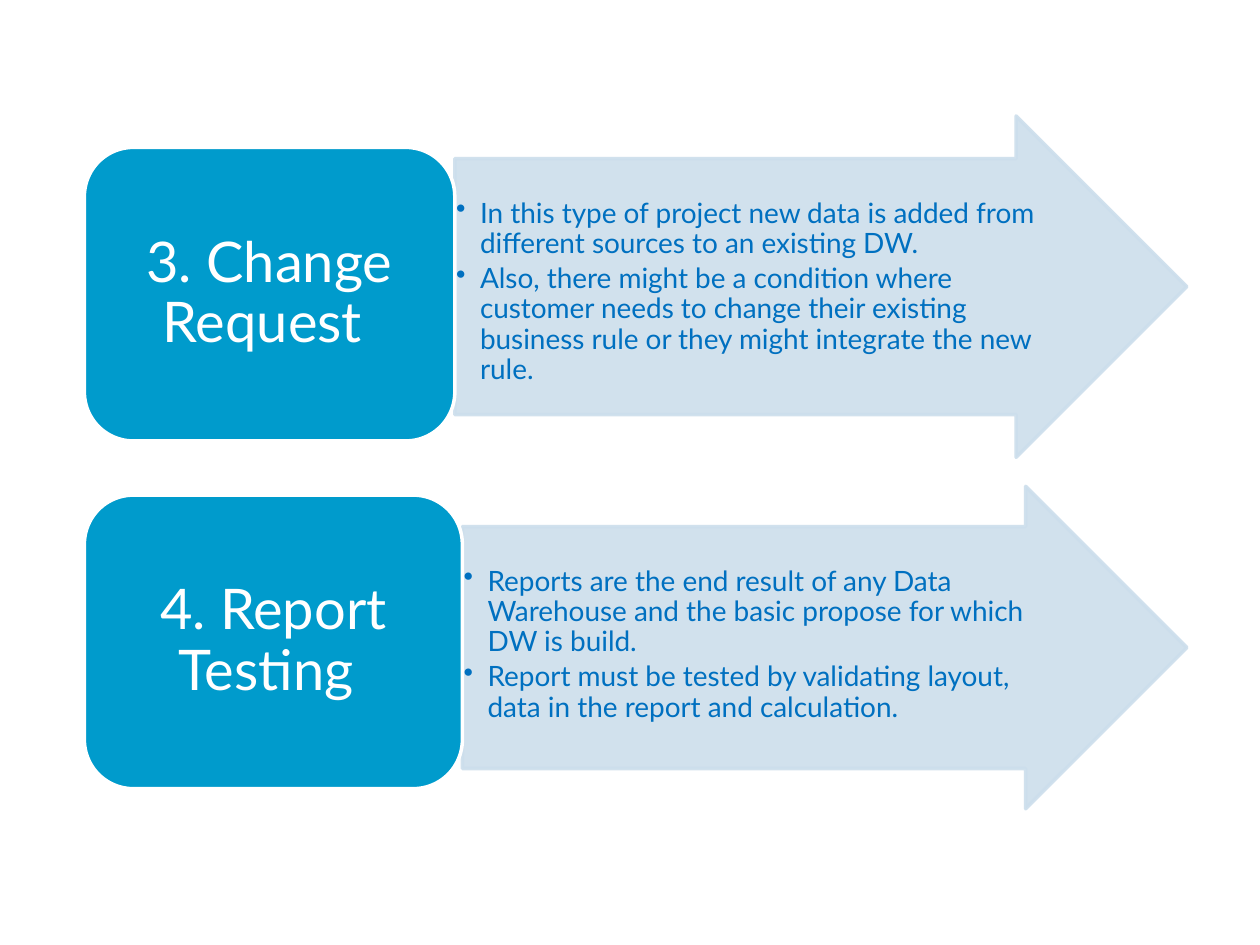
from lxml.etree import SubElement as Sub
from pptx import Presentation
from pptx.dml.color import RGBColor as RGB
from pptx.enum.shapes import MSO_SHAPE as Kind
from pptx.enum.text import MSO_ANCHOR as Anchor, PP_ALIGN as Align
from pptx.oxml.ns import qn
from pptx.util import Inches, Pt

# Theme: colours, font and type sizes
theme = {
    "box": RGB.from_string("009BCC"),
    "arrow": RGB.from_string("CCDEEC"),
    "white": RGB.from_string("FFFFFF"),
    "text": RGB.from_string("0070C0"),
    "font": "Lato",
    "head": Pt(32),
    "list": Pt(16),
}

# Grid: 100 columns by 75 rows of square cells
cell = Inches(0.1)
left, right = 6.7, 94.2
high = 23.3

# Each row: heading, box top and width, arrow top and height, points
rows = [
    ("3. Change Request ", 11.7, 29.4, 9.2, 27.1, [
        "In this type of project new data is added from different sources "
        "to an existing DW.",
        "Also, there might be a condition where customer needs to change "
        "their existing business rule or they might integrate the new rule.",
    ]),
    ("4. Report Testing ", 39.3, 30, 38.6, 25.6, [
        "Reports are the end result of any Data Warehouse and the basic "
        "propose for which DW is build.",
        "Report must be tested by validating layout, data in the report "
        "and calculation.",
    ]),
]

deck = Presentation()
deck.slide_width, deck.slide_height = 100 * cell, 75 * cell
slide = deck.slides.add_slide(deck.slide_layouts[6])


def draw(kind, spot, fill, line, pads, anchor):
    """Add a filled shape at a grid spot and set up its text frame."""
    shape = slide.shapes.add_shape(kind, *(round(n * cell) for n in spot))
    shape.shadow.inherit = False
    shape.fill.solid()
    shape.fill.fore_color.rgb = fill
    shape.line.color.rgb = line
    shape.line.width = Pt(2)
    frame = shape.text_frame
    sides = ("margin_left", "margin_top", "margin_right", "margin_bottom")
    form = dict(zip(sides, map(Inches, pads)))
    form |= {"word_wrap": True, "vertical_anchor": anchor}
    for key, val in form.items():
        setattr(frame, key, val)
    return shape


def write(para, text, size, color, form):
    """Fill a paragraph with one formatted run."""
    for key, val in form.items():
        setattr(para, key, val)
    run = para.add_run()
    run.text = text
    run.font.name, run.font.size = theme["font"], size
    run.font.color.rgb = color


for head, top, wide, tip, tall, points in rows:
    # Arrow behind, starting where the box ends
    start = left + wide
    arrow = draw(Kind.RIGHT_ARROW, (start, tip, right - start, tall),
                 theme["arrow"], theme["arrow"],
                 (0.01, 0.32, 0.01, 0.01), Anchor.TOP)
    arrow.adjustments[0], arrow.adjustments[1] = 0.75, 0.5
    for tint in arrow._element.spPr.iter(qn("a:srgbClr")):
        Sub(tint, qn("a:alpha"), val="90000")

    # Bulleted points
    frame = arrow.text_frame
    for i, point in enumerate(points):
        para = frame.add_paragraph() if i else frame.paragraphs[0]
        props = para._p.get_or_add_pPr()
        props.set("marL", str(Inches(0.19)))
        props.set("indent", str(-Inches(0.19)))
        Sub(props, qn("a:buChar"), char="•")
        write(para, point, theme["list"], theme["text"],
              {"level": 1, "alignment": Align.LEFT,
               "line_spacing": 0.9, "space_after": Pt(3)})

    # Heading box in front
    box = draw(Kind.ROUNDED_RECTANGLE, (left, top, wide, high),
               theme["box"], theme["white"],
               (0.13, 0.07, 0.13, 0.07), Anchor.MIDDLE)
    write(box.text_frame.paragraphs[0], head, theme["head"], theme["white"],
          {"alignment": Align.CENTER, "line_spacing": 0.9})

deck.save("out.pptx")
